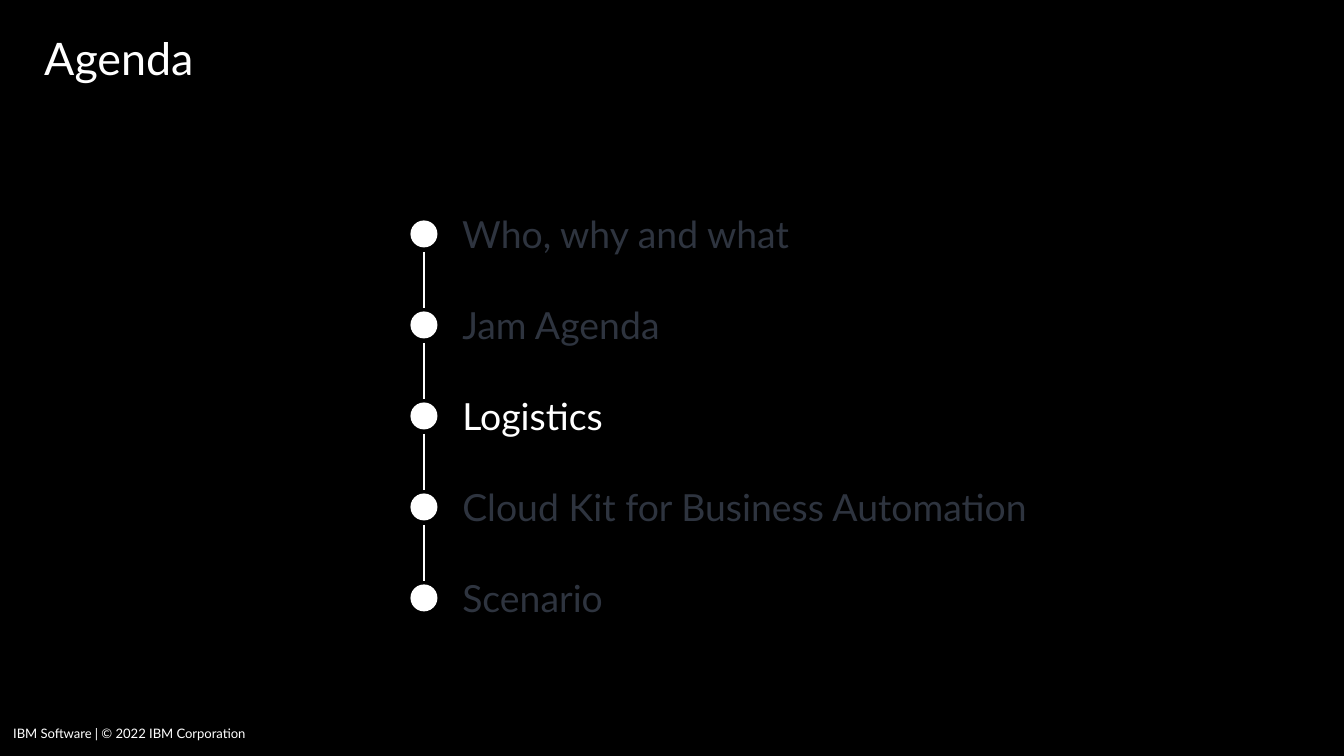
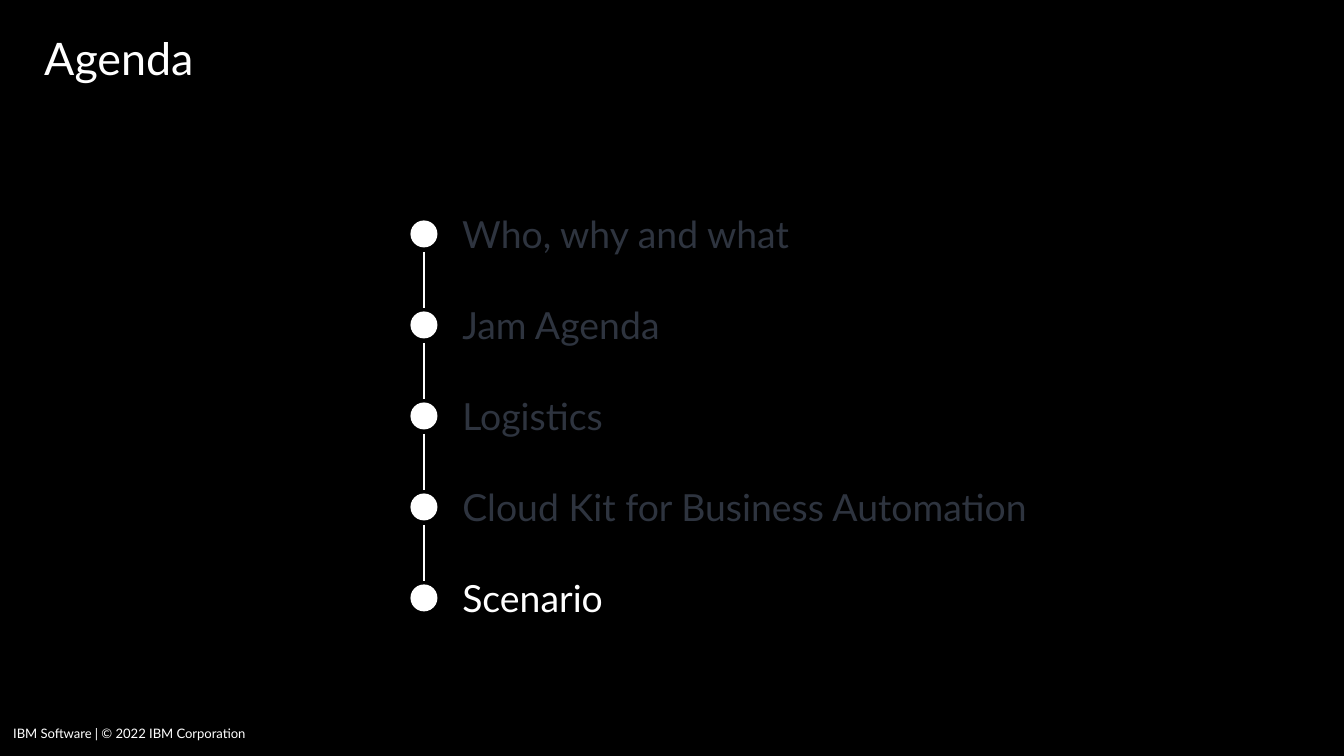
import pptx
import pptx.dml.color
import pptx.enum.shapes
import pptx.enum.text
import pptx.oxml.ns
import pptx.util
from lxml import etree

# Content: each agenda topic with the width of its label in px
TITLE = "Agenda"
FOOTER = "IBM Software | © 2022 IBM Corporation"
TOPICS = [
    ("Who, why and what", 360),
    ("Jam Agenda", 239),
    ("Logistics", 179),
    ("Cloud Kit for Business Automation", 622),
    ("Scenario", 175),
]
CURRENT_TOPICS = ["Logistics", "Scenario"]  # one slide each

# Shared style
FONT = "Lato"
BLACK, WHITE, DIMMED = "000000", "FFFFFF", "2E343F"

# Timeline layout in px
EMU_PER_PX = 914400 / 134.4
AXIS_X, FIRST_Y, PITCH = 424, 234, 91
DOT_SIZE = 27
LINE_GAP, LINE_LENGTH = 18, 56
LABEL_X, LABEL_HEIGHT = 449, 59


def px(length):
    return pptx.util.Emu(round(length * EMU_PER_PX))


def color(hex_value):
    return pptx.dml.color.RGBColor.from_string(hex_value)


def add_text(slide, text, left, top, width, height, *, size, fill=WHITE,
             wrap=True, line_spacing=None):
    box = slide.shapes.add_textbox(px(left), px(top), px(width), px(height))
    frame = box.text_frame
    frame.word_wrap = wrap
    if not wrap:
        frame.auto_size = pptx.enum.text.MSO_AUTO_SIZE.SHAPE_TO_FIT_TEXT
    paragraph = frame.paragraphs[0]
    paragraph.line_spacing = line_spacing
    run = paragraph.add_run()
    run.text = text
    run.font.name = FONT
    run.font.size = pptx.util.Pt(size)
    run.font.color.rgb = color(fill)


def add_dot(slide, center_y):
    dot = slide.shapes.add_shape(
        pptx.enum.shapes.MSO_SHAPE.OVAL,
        px(AXIS_X - DOT_SIZE / 2), px(center_y - DOT_SIZE / 2),
        px(DOT_SIZE), px(DOT_SIZE))
    dot.shadow.inherit = False
    dot.fill.solid()
    dot.fill.fore_color.rgb = color(WHITE)
    dot.line.fill.background()


def add_link(slide, top):
    link = slide.shapes.add_connector(
        pptx.enum.shapes.MSO_CONNECTOR.STRAIGHT,
        px(AXIS_X), px(top), px(AXIS_X), px(top + LINE_LENGTH))
    link.line.color.rgb = color(WHITE)
    link.line.width = pptx.util.Pt(1.5)
    etree.SubElement(link._element.spPr, pptx.oxml.ns.qn("a:effectLst"))


def add_agenda_slide(presentation, current):
    slide = presentation.slides.add_slide(presentation.slide_layouts[6])

    # Timeline with the current topic lit
    for index, (topic, width) in enumerate(TOPICS):
        center_y = FIRST_Y + index * PITCH
        add_dot(slide, center_y)
        if index < len(TOPICS) - 1:
            add_link(slide, center_y + LINE_GAP)
        add_text(slide, topic, LABEL_X, center_y - LABEL_HEIGHT / 2, width,
                 LABEL_HEIGHT, size=20, wrap=False,
                 fill=WHITE if topic == current else DIMMED)

    # Title and footer
    add_text(slide, TITLE, 31, 30, 1253, 52, size=24, line_spacing=0.9)
    add_text(slide, FOOTER, 0, 719, 605, 24, size=7)


def main():
    presentation = pptx.Presentation()
    presentation.slide_width = px(1344)
    presentation.slide_height = px(756)
    background = presentation.slide_master.background.fill
    background.solid()
    background.fore_color.rgb = color(BLACK)
    for current in CURRENT_TOPICS:
        add_agenda_slide(presentation, current)
    presentation.save("out.pptx")


if __name__ == "__main__":
    main()
